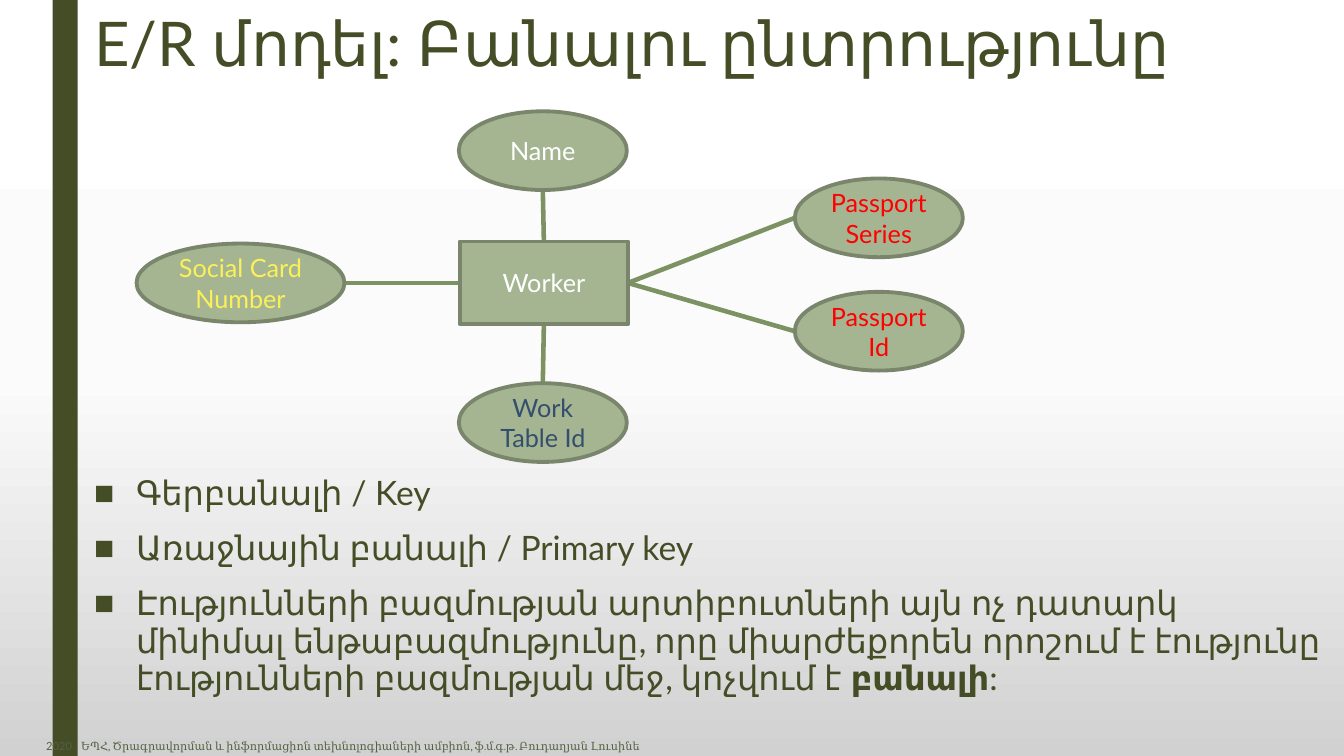
from copy import deepcopy

from lxml.etree import SubElement
from pptx import Presentation
from pptx.dml.color import RGBColor
from pptx.enum.shapes import MSO_CONNECTOR, MSO_SHAPE
from pptx.enum.text import MSO_ANCHOR, MSO_AUTO_SIZE, PP_ALIGN
from pptx.oxml.ns import qn
from pptx.util import Pt

EMU_PER_PX = 9525
WIDTH, HEIGHT = 1280, 720

OLIVE = RGBColor(0x44, 0x4D, 0x26)
FOOTER_GREEN = RGBColor(0x53, 0x61, 0x42)
NODE_FILL = RGBColor(0xA5, 0xB5, 0x92)
NODE_BORDER = RGBColor(0x7A, 0x86, 0x6C)
LINK_GREEN = RGBColor(0x7D, 0x92, 0x63)
WHITE = RGBColor(0xFF, 0xFF, 0xFF)
NEAR_WHITE = RGBColor(0xFB, 0xFB, 0xFB)
GREY = RGBColor(0xD1, 0xD1, 0xD1)
YELLOW = RGBColor(0xFC, 0xF0, 0x59)
BLUE = RGBColor(0x34, 0x4E, 0x6D)
RED = RGBColor(0xFF, 0x00, 0x00)

# Each node: shape, left, top, width, height within the diagram, text colour
RECTANGLE, OVAL = MSO_SHAPE.RECTANGLE, MSO_SHAPE.OVAL
NODES = {
    "Worker": (RECTANGLE, 308, 124, 160, 79, WHITE),
    "Social Card Number": (OVAL, 0, 126, 198, 75, YELLOW),
    "Name": (OVAL, 307, 0, 160, 75, WHITE),
    "Work Table Id": (OVAL, 307, 259, 160, 75, BLUE),
    "Passport Series": (OVAL, 627, 64, 160, 75, RED),
    "Passport Id": (OVAL, 627, 172, 160, 75, RED),
}
# Each link: side of the entity, attribute, side of the attribute
LINKS = [
    ("right", "Passport Id", "left"),
    ("bottom", "Work Table Id", "top"),
    ("left", "Social Card Number", "right"),
    ("top", "Name", "bottom"),
    ("right", "Passport Series", "left"),
]
# Fractions of width and height
SIDES = {"left": (0, 0.5), "right": (1, 0.5), "top": (0.5, 0), "bottom": (0.5, 1)}

LIST_ITEMS = [
    [("Գերբանալի / Key", False)],
    [("Առաջնային բանալի / Primary key", False)],
    [("Էությունների բազմության արտիբուտների այն ոչ դատարկ մինիմալ "
      "ենթաբազմությունը, որը միարժեքորեն որոշում է էությունը "
      "էությունների բազմության մեջ, կոչվում է ", False),
     ("բանալի", True), (":", False)],
]


def px(*lengths):
    return [round(length * EMU_PER_PX) for length in lengths]


def style_font(font, size, color, name="Lato"):
    font.size = Pt(size)
    font.color.rgb = color
    font.name = name


def place(shape, box):
    shape.left, shape.top, shape.width, shape.height = px(*box)


def paint_background(slide):
    fill = slide.background.fill
    fill.gradient()
    fill.gradient_angle = 270
    stops = slide.element.find(".//" + qn("a:gsLst"))
    stops.insert(1, deepcopy(stops[0]))
    for stop, position, color in zip(fill.gradient_stops, (0, 0.5, 1), (WHITE, NEAR_WHITE, GREY)):
        stop.position = position
        stop.color.rgb = color


def add_side_bar(slide, box):
    bar = slide.shapes.add_shape(MSO_SHAPE.RECTANGLE, *px(*box))
    bar.shadow.inherit = False
    bar.fill.solid()
    bar.fill.fore_color.rgb = OLIVE
    bar.line.fill.background()


def fill_title(slide, box):
    title = slide.shapes.title
    place(title, box)
    frame = title.text_frame
    frame.text = "E/R մոդել: Բանալու ընտրությունը"
    frame.auto_size = MSO_AUTO_SIZE.NONE
    frame.vertical_anchor = MSO_ANCHOR.MIDDLE
    paragraph = frame.paragraphs[0]
    paragraph.alignment = PP_ALIGN.LEFT
    paragraph.line_spacing = 0.89
    style_font(paragraph.font, 44, OLIVE)


def fill_list(slide, box):
    body = slide.placeholders[1]
    place(body, box)
    frame = body.text_frame
    frame.auto_size = MSO_AUTO_SIZE.NONE
    frame.vertical_anchor = MSO_ANCHOR.TOP
    for index, runs in enumerate(LIST_ITEMS):
        paragraph = frame.add_paragraph() if index else frame.paragraphs[0]
        paragraph.line_spacing = 0.94
        paragraph.space_before = Pt(10 if index else 0)
        paragraph.space_after = Pt(2)
        # Square bullet with a hanging indent
        properties = paragraph._p.get_or_add_pPr()
        indent = px(40)[0]
        properties.set("marL", str(indent))
        properties.set("indent", str(-indent))
        SubElement(properties, qn("a:buChar")).set("char", "■")
        style_font(paragraph.font, 24, OLIVE)
        for text, bold in runs:
            run = paragraph.add_run()
            run.text = text
            run.font.bold = bold


def add_footer(slide, box):
    frame = slide.shapes.add_textbox(*px(*box)).text_frame
    frame.word_wrap = True
    paragraph = frame.paragraphs[0]
    paragraph.alignment = PP_ALIGN.CENTER
    for text, name in (
        ("2020 ", "Lato"),
        ("- ԵՊՀ, Ծրագրավորման և ինֆորմացիոն տեխնոլոգիաների ամբիոն, "
         "ֆ.մ.գ.թ. Բուդաղյան Լուսինե", "Cambria"),
    ):
        run = paragraph.add_run()
        run.text = text
        style_font(run.font, 8, FOOTER_GREEN, name)


def add_diagram(slide, box):
    origin_x, origin_y = box[:2]

    def side_point(name, side):
        _, left, top, width, height, _ = NODES[name]
        across, down = SIDES[side]
        return px(origin_x + left + across * width, origin_y + top + down * height)

    # Links go behind the nodes
    for entity_side, attribute, attribute_side in LINKS:
        link = slide.shapes.add_connector(
            MSO_CONNECTOR.STRAIGHT,
            *side_point("Worker", entity_side),
            *side_point(attribute, attribute_side),
        )
        link.line.color.rgb = LINK_GREEN
        link.line.width = Pt(3.25)
        SubElement(link._element.spPr, qn("a:effectLst"))

    # Entity and its attributes
    for name, (kind, left, top, width, height, color) in NODES.items():
        node = slide.shapes.add_shape(kind, *px(origin_x + left, origin_y + top, width, height))
        node.shadow.inherit = False
        node.fill.solid()
        node.fill.fore_color.rgb = NODE_FILL
        node.line.color.rgb = NODE_BORDER
        node.line.width = Pt(2.75)
        frame = node.text_frame
        frame.text = name
        frame.word_wrap = True
        frame.vertical_anchor = MSO_ANCHOR.MIDDLE
        paragraph = frame.paragraphs[0]
        paragraph.alignment = PP_ALIGN.CENTER
        style_font(paragraph.font, 18, color)


def main():
    presentation = Presentation()
    presentation.slide_width, presentation.slide_height = px(WIDTH, HEIGHT)
    slide = presentation.slides.add_slide(presentation.slide_layouts[1])
    paint_background(slide)
    add_side_bar(slide, (50, 0, 24, HEIGHT))
    fill_title(slide, (80, 8, 1190, 73))
    fill_list(slide, (80, 448, 1190, 251))
    add_footer(slide, (0, 699, 654, 22))
    add_diagram(slide, (130, 106, 787, 334))
    presentation.save("out.pptx")


if __name__ == "__main__":
    main()
